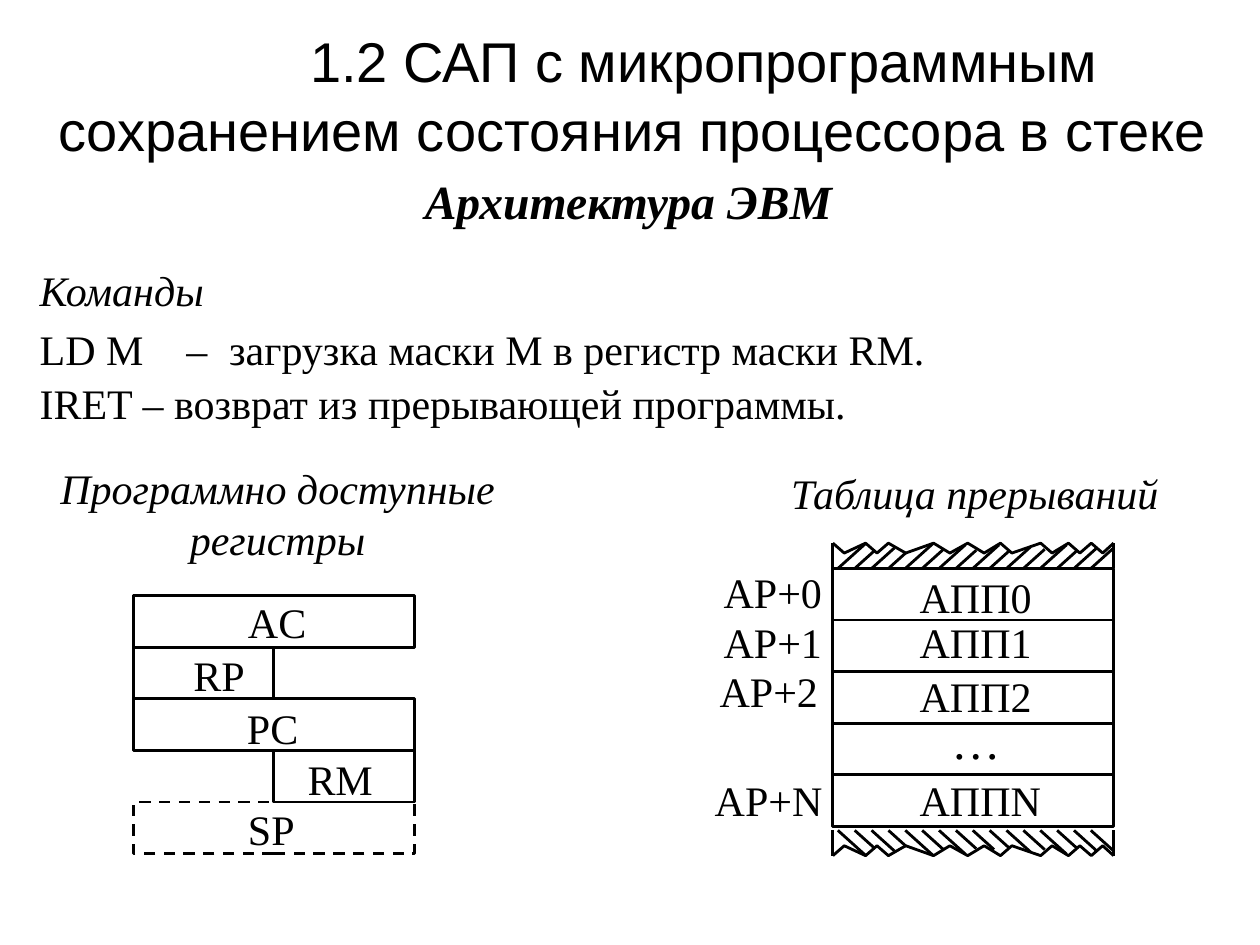
from lxml import etree
from pptx import Presentation
from pptx.dml.color import RGBColor
from pptx.enum.dml import MSO_LINE
from pptx.enum.shapes import MSO_CONNECTOR, MSO_SHAPE
from pptx.enum.text import MSO_ANCHOR, MSO_AUTO_SIZE, PP_ALIGN
from pptx.oxml.ns import qn
from pptx.util import Cm, Pt

LEFT, CENTER, RIGHT = PP_ALIGN.LEFT, PP_ALIGN.CENTER, PP_ALIGN.RIGHT
MIDDLE = MSO_ANCHOR.MIDDLE
GROW, FIXED = MSO_AUTO_SIZE.SHAPE_TO_FIT_TEXT, MSO_AUTO_SIZE.NONE
RECTANGLE = MSO_SHAPE.RECTANGLE
STRAIGHT = MSO_CONNECTOR.STRAIGHT
DASH = MSO_LINE.DASH

BODY = {"name": "Times New Roman", "size": Pt(24)}
ITALIC = {**BODY, "italic": True}
DOTS = {**BODY, "size": Pt(28)}
SUBTITLE = {**ITALIC, "size": Pt(27.2), "bold": True}
TITLE = {"name": "Arial", "size": Pt(32)}


def color(value):
    return RGBColor.from_string(value)


def add_text(text, left, top, width, height, font=BODY, align=LEFT, wrap=False):
    """Add a text box without margins and return it; unwrapped boxes grow with their text."""
    box = page.shapes.add_textbox(Cm(left), Cm(top), Cm(width), Cm(height))
    frame = box.text_frame
    frame.word_wrap = wrap
    frame.auto_size = FIXED if wrap else GROW
    for side in ("left", "top", "right", "bottom"):
        setattr(frame, f"margin_{side}", 0)
    para = frame.paragraphs[0]
    para.alignment = align
    span = para.add_run()
    span.text = text
    for name, value in font.items():
        setattr(span.font, name, value)
    span.font.color.rgb = color("000000")
    return box


deck = Presentation()
deck.slide_width, deck.slide_height = Cm(25.4), Cm(19.05)
page = deck.slides.add_slide(deck.slide_layouts[6])

# Headings
title = add_text("1.2 САП с микропрограммным сохранением состояния процессора в стеке",
                 0.31, 0.37, 24.89, 3.05, TITLE, CENTER, True).text_frame
title.vertical_anchor = MIDDLE
title.paragraphs[0].line_spacing = 1.03
title.paragraphs[0]._p.get_or_add_pPr().set("indent", str(Cm(2.89)))

subtitle = add_text("Архитектура ЭВМ", 0.2, 3.4, 24.94, 1.42, SUBTITLE, CENTER, True).text_frame
subtitle.vertical_anchor = MIDDLE
subtitle.paragraphs[0].line_spacing = 0.9

# Commands
add_text("Команды", 0.8, 5.33, 3.38, 1.02, ITALIC)
load = add_text("LD M\t–\tзагрузка маски М в регистр маски RM.",
                0.8, 6.53, 18.21, 1.02, wrap=True)
tabs = etree.SubElement(load.text_frame.paragraphs[0]._p.get_or_add_pPr(), qn("a:tabLst"))
for stop in (2.96, 3.82):
    etree.SubElement(tabs, qn("a:tab"), pos=str(Cm(stop)), algn="l")
add_text("IRET – возврат из прерывающей программы.", 0.8, 7.62, 23.6, 1.02, wrap=True)

# Captions of the two diagrams
add_text("Программно доступные регистры", 0.39, 9.33, 10.41, 2.03, ITALIC, CENTER, True)
add_text("Таблица прерываний", 14.1, 9.42, 11.1, 1.02, ITALIC, CENTER, True)

# Register and table cells
CELL_WIDTH, CELL_HEIGHT = 5.66, 1.04
HALF = CELL_WIDTH / 2
REGISTERS_LEFT, REGISTERS_TOP = 2.69, 12.01
TABLE_LEFT, TABLE_TOP = 16.79, 11.46

registers = [(REGISTERS_LEFT, CELL_WIDTH), (REGISTERS_LEFT, HALF), (REGISTERS_LEFT, CELL_WIDTH),
             (REGISTERS_LEFT + HALF, HALF), (REGISTERS_LEFT, CELL_WIDTH)]
cells = [(left, REGISTERS_TOP + row * CELL_HEIGHT, width)
         for row, (left, width) in enumerate(registers)]
cells += [(TABLE_LEFT, TABLE_TOP + row * CELL_HEIGHT, CELL_WIDTH) for row in range(5)]
outlines = []
for left, top, width in cells:
    cell = page.shapes.add_shape(RECTANGLE, Cm(left), Cm(top), Cm(width), Cm(CELL_HEIGHT))
    cell.fill.background()
    outlines.append(cell)
outlines[4].line.dash_style = DASH

# Torn, hatched edges above and below the table
TORN_HEIGHT, TOOTH, SLOPE = 0.51, 0.2, 0.9
HATCH_START, HATCH_STEP = 16.89, 0.34
zigzag = [0, 0.23, 0.66, 0.89, 1.12, 1.47, 2.03, 2.36, 2.72, 3.05,
          3.38, 3.61, 4.19, 4.42, 4.75, 4.98, 5.21, 5.44, 5.66]
hatch_runs = [0.56, 0.41, 0.46, 0.36, 0.56, 0.43, 0.53, 0.41,
              0.53, 0.39, 0.48, 0.43, 0.53, 0.41, 0.46, 0.46]
lower_runs = hatch_runs[:8] + [0.43] + hatch_runs[9:]

for base, direction, runs in ((TABLE_TOP, -1, hatch_runs), (16.74, 1, lower_runs)):
    tip = base + direction * TORN_HEIGHT
    points = [(Cm(TABLE_LEFT + x), Cm(tip - direction * TOOTH * (number % 2)))
              for number, x in enumerate(zigzag)]
    builder = page.shapes.build_freeform(*points[0])
    builder.add_line_segments(points[1:], close=False)
    edge = builder.convert_to_shape()
    edge.fill.background()
    outlines.append(edge)

    strokes = [(x, x, tip) for x in (TABLE_LEFT, TABLE_LEFT + CELL_WIDTH)]
    for number, run in enumerate(runs):
        start = HATCH_START + number * HATCH_STEP
        strokes.append((start, start + run, base + direction * SLOPE * run))
    for start, end, height in strokes:
        stroke = page.shapes.add_connector(STRAIGHT, Cm(start), Cm(base), Cm(end), Cm(height))
        etree.SubElement(stroke._element.spPr, qn("a:effectLst"))
        stroke.line.color.rgb = color("000000")
        stroke.line.width = Pt(1.62)

for outline in outlines:
    outline.shadow.inherit = False
    outline.line.color.rgb = color("000000")
    outline.line.width = Pt(1.62)

# Labels: text, left, top, width
LABEL_HEIGHT = 1.02
for text, left, top, width in [
    ("AC", 5, 12.02, 1.2), ("RP", 3.9, 13.09, 1.06), ("PC", 4.98, 14.17, 1.06),
    ("RM", 6.2, 15.19, 1.34), ("SP", 5, 16.2, 0.97),
    ("АПП0", 18.54, 11.53, 2.28), ("АПП1", 18.54, 12.42, 2.28),
    ("АПП2", 18.54, 13.51, 2.28), ("АППN", 18.54, 15.62, 2.48),
]:
    add_text(text, left, top, width, LABEL_HEIGHT)
add_text("…", 18.62, 14.33, 2.11, 1.19, DOTS, CENTER, True)

for text, right, top, width in [
    ("AP+0", 16.57, 11.43, 2.02), ("AP+1", 16.57, 12.42, 2.02),
    ("AP+2", 16.49, 13.41, 2.02), ("AP+N", 16.58, 15.62, 2.22),
]:
    add_text(text, right - width, top, width, LABEL_HEIGHT, align=RIGHT)

deck.save("out.pptx")
